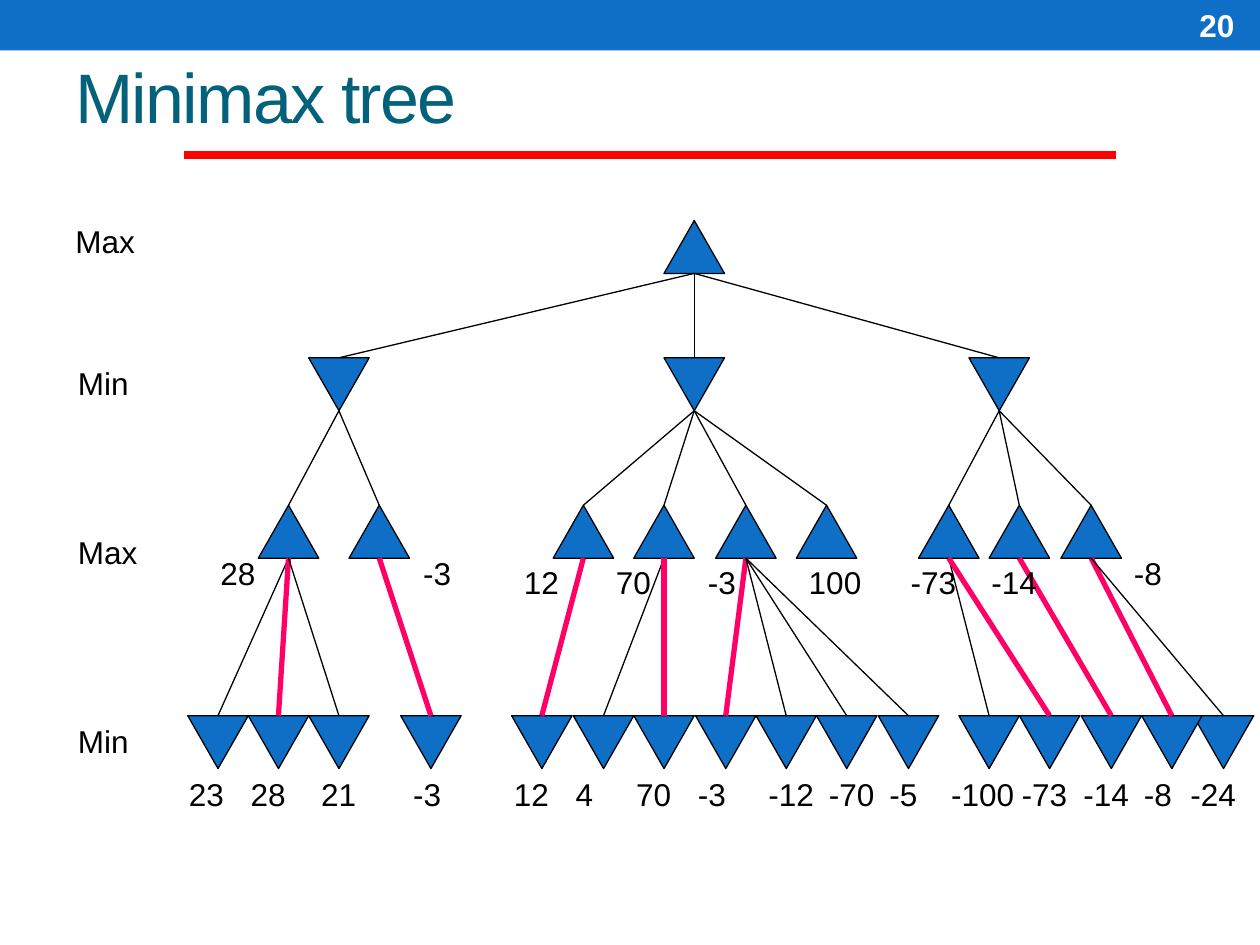
from dataclasses import dataclass

from lxml.etree import SubElement
from pptx import Presentation
from pptx.dml.color import RGBColor
from pptx.enum.shapes import MSO_CONNECTOR, MSO_SHAPE
from pptx.enum.text import MSO_ANCHOR, PP_ALIGN
from pptx.oxml.ns import qn
from pptx.util import Inches, Pt

BLUE = RGBColor(0x0F, 0x6F, 0xC6)
TEAL = RGBColor(0x04, 0x61, 0x7B)
PINK = RGBColor(0xFF, 0x00, 0x66)
RED = RGBColor(0xFF, 0x00, 0x00)
BLACK = RGBColor(0x00, 0x00, 0x00)
WHITE = RGBColor(0xFF, 0xFF, 0xFF)

FONT = "Arial"
NODE_WIDTH, NODE_HEIGHT = 0.48, 0.42
LEVEL_TOPS = (1.75, 2.84, 4.01, 5.68)
LEAF_VALUE_TOP = 6.1
HIGH, LOW = 4.35, 4.42  # tops of the values beside the lower Max level


@dataclass(frozen=True)
class Node:
    """A game state; `best` marks the move its parent chooses."""
    center: float
    value: str = ""
    value_left: float = 0
    value_top: float = LEAF_VALUE_TOP
    best: bool = False
    children: tuple["Node", ...] = ()


def leaf(center: float, value: str, value_left: float, best: bool = False) -> Node:
    return Node(center, value, value_left, best=best)


TREE = Node(5.51, children=(
    Node(2.69, children=(
        Node(2.29, "28", 1.65, HIGH, children=(
            leaf(1.73, "23", 1.4),
            leaf(2.21, "28", 1.89, best=True),
            leaf(2.69, "21", 2.45))),
        Node(3.01, "-3", 3.26, HIGH, children=(
            leaf(3.42, "-3", 3.18, best=True),)),
    )),
    Node(5.51, children=(
        Node(4.63, "12", 4.06, LOW, children=(
            leaf(4.3, "12", 3.98, best=True),)),
        Node(5.27, "70", 4.79, LOW, children=(
            leaf(4.79, "4", 4.47),
            leaf(5.27, "70", 4.95, best=True))),
        Node(5.92, "-3", 5.52, LOW, children=(
            leaf(5.76, "-3", 5.44, best=True),
            leaf(6.24, "-12", 6.0),
            leaf(6.72, "-70", 6.48),
            leaf(7.21, "-5", 6.96))),
        Node(6.56, "100", 6.32, LOW),
    )),
    Node(7.93, children=(
        Node(7.53, "-73", 7.13, LOW, children=(
            leaf(7.85, "-100", 7.45),
            leaf(8.33, "-73", 8.01, best=True))),
        Node(8.09, "-14", 7.77, LOW, children=(
            leaf(8.82, "-14", 8.5, best=True),)),
        Node(8.66, "-8", 8.9, HIGH, children=(
            leaf(9.3, "-8", 8.98, best=True),
            leaf(9.71, "-24", 9.35))),
    )),
))

LEVEL_NAMES = (("Max", 0.5, 1.71), ("Min", 0.52, 2.84),
               ("Max", 0.52, 4.18), ("Min", 0.52, 5.68))


def add_text(slide, text: str, left: float, top: float, width: float,
             height: float = 0.48, size: int = 18, color: RGBColor = BLACK,
             anchor: MSO_ANCHOR = MSO_ANCHOR.TOP):
    """Add one left-aligned line of text and return its run."""
    frame = slide.shapes.add_textbox(
        Inches(left), Inches(top), Inches(width), Inches(height)).text_frame
    frame.word_wrap = True
    frame.vertical_anchor = anchor
    frame.text = text
    paragraph = frame.paragraphs[0]
    paragraph.alignment = PP_ALIGN.LEFT
    run = paragraph.runs[0]
    run.font.name = FONT
    run.font.size = Pt(size)
    run.font.color.rgb = color
    return run


def add_line(slide, start: tuple[float, float], end: tuple[float, float],
             color: RGBColor = BLACK, weight: float = 0.75) -> None:
    line = slide.shapes.add_connector(
        MSO_CONNECTOR.STRAIGHT, *(Inches(value) for value in start + end))
    line.line.color.rgb = color
    line.line.width = Pt(weight)
    SubElement(line._element.spPr, qn("a:effectLst"))


def add_triangle(slide, node: Node, level: int) -> None:
    """Draw a Max node pointing up or a Min node pointing down."""
    triangle = slide.shapes.add_shape(
        MSO_SHAPE.ISOSCELES_TRIANGLE,
        Inches(node.center - NODE_WIDTH / 2), Inches(LEVEL_TOPS[level]),
        Inches(NODE_WIDTH), Inches(NODE_HEIGHT))
    triangle.rotation = 180 * (level % 2)
    triangle.shadow.inherit = False
    triangle.fill.solid()
    triangle.fill.fore_color.rgb = BLUE
    triangle.line.color.rgb = BLACK
    triangle.line.width = Pt(0.75)


def add_branches(slide, parent: Node, level: int) -> None:
    start = (parent.center, LEVEL_TOPS[level] + NODE_HEIGHT)
    for child in parent.children:
        color, weight = (PINK, 3) if child.best else (BLACK, 0.75)
        add_line(slide, start, (child.center, LEVEL_TOPS[level + 1]), color, weight)


def add_value(slide, node: Node) -> None:
    digits = len(node.value.lstrip("-"))
    width = 0.23 + 0.15 * digits + 0.1 * node.value.startswith("-")
    add_text(slide, node.value, node.value_left, node.value_top, width)


def tree_levels(root: Node) -> list[list[Node]]:
    levels = [[root]]
    while children := [child for node in levels[-1] for child in node.children]:
        levels.append(children)
    return levels


def draw_tree(slide, root: Node) -> None:
    placed = [(node, level) for level, nodes in enumerate(tree_levels(root))
              for node in nodes]
    for node, level in reversed(placed):
        add_triangle(slide, node, level)
    for node, level in placed:
        add_branches(slide, node, level)
    for node, _ in placed:
        if node.value:
            add_value(slide, node)


def add_header(slide) -> None:
    band = slide.shapes.add_shape(
        MSO_SHAPE.RECTANGLE, 0, 0, Inches(10), Inches(0.4))
    band.shadow.inherit = False
    band.fill.solid()
    band.fill.fore_color.rgb = BLUE
    band.line.fill.background()
    title = add_text(slide, "Minimax tree", 0.5, -0.11, 9, 1.25, 40, TEAL,
                     MSO_ANCHOR.BOTTOM)
    title.font._element.set("spc", "-100")
    add_line(slide, (1.46, 1.23), (8.86, 1.23), RED, 4.5)
    page_number = add_text(slide, "20", 9.42, 0.02, 0.58, 0.36, color=WHITE,
                           anchor=MSO_ANCHOR.MIDDLE)
    page_number.font.bold = True


def main() -> None:
    deck = Presentation()
    deck.slide_width, deck.slide_height = Inches(10), Inches(7.5)
    slide = deck.slides.add_slide(deck.slide_layouts[6])
    add_header(slide)
    for name, left, top in LEVEL_NAMES:
        add_text(slide, name, left, top, 0.76)
    draw_tree(slide, TREE)
    deck.save("out.pptx")


if __name__ == "__main__":
    main()
